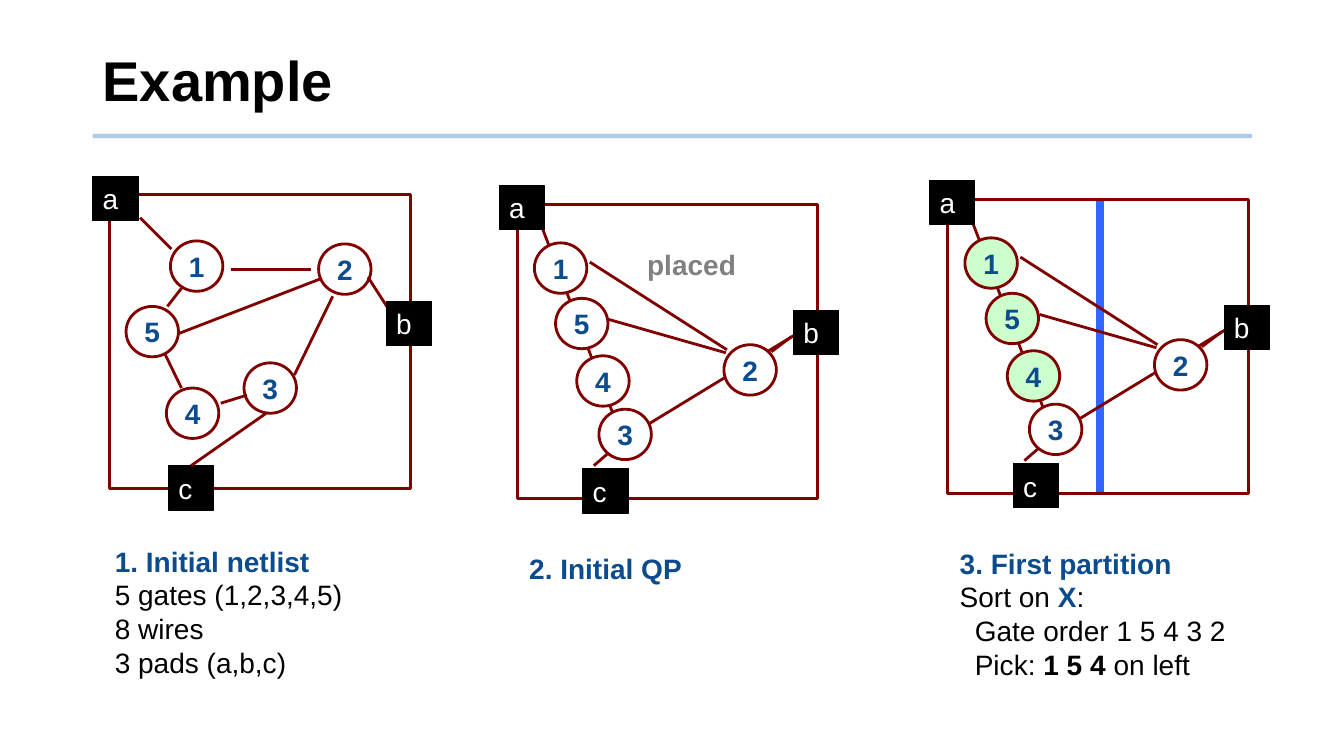
from lxml import etree
from pptx import Presentation
from pptx.dml.color import RGBColor
from pptx.enum.shapes import MSO_CONNECTOR, MSO_SHAPE
from pptx.enum.text import MSO_ANCHOR as Anchor, MSO_AUTO_SIZE as AutoSize, PP_ALIGN as Align
from pptx.oxml.ns import qn
from pptx.util import Inches, Pt

BLACK = RGBColor(0x00, 0x00, 0x00)
WHITE = RGBColor(0xFF, 0xFF, 0xFF)
MAROON = RGBColor(0x80, 0x00, 0x00)
NAVY = RGBColor(0x0B, 0x4B, 0x8E)
GRAY = RGBColor(0x80, 0x80, 0x80)
GREEN = RGBColor(0xCC, 0xFF, 0xCC)
CUT_BLUE = RGBColor(0x33, 0x66, 0xFF)
RULE_BLUE = RGBColor(0x5B, 0x9B, 0xD5)

FRAME_WIDTH, FRAME_HEIGHT = 2.98, 2.92
GATE_WIDTH, GATE_HEIGHT = 0.52, 0.5
PAD_WIDTH, PAD_HEIGHT = 0.45, 0.44
HEADING = {"color": NAVY, "bold": True}

NETLIST_GATES = {"1": (0.6, 0.46), "2": (2.07, 0.49), "3": (1.33, 1.67),
                 "4": (0.56, 1.92), "5": (0.16, 1.11)}
NETLIST_PADS = {"a": (-0.17, -0.18), "b": (2.74, 1.06), "c": (0.58, 2.69)}
NETLIST_WIRES = [
    (1.2, 0.74, 1.99, 0.74), (1.83, 1.79, 2.21, 1.01), (1.1, 2.07, 1.36, 1.99),
    (2.56, 0.82, 2.76, 1.13), (0.68, 1.38, 2.08, 0.84), (0.3, 0.23, 0.61, 0.54),
    (0.71, 0.93, 0.57, 1.11), (0.55, 1.59, 0.71, 1.92),
]
PLACED_GATES = {"2": (2.05, 1.39), "3": (0.81, 2.03), "1": (0.17, 0.38),
                "5": (0.38, 0.93), "4": (0.59, 1.5)}
PLACED_PADS = {"a": (-0.18, -0.19), "b": (2.74, 1.05), "c": (0.65, 2.62)}
PLACED_WIRES = [
    (0.91, 1.14, 2.07, 1.47), (1.15, 2.27, 2.79, 1.27), (0.91, 2.46, 0.76, 2.59),
    (2.52, 1.46, 2.72, 1.31), (0.24, 0.21, 1.02, 2.26), (0.72, 0.57, 2.08, 1.44),
]


def write(box, paragraphs, size=20, color=BLACK, bold=False, align=Align.LEFT,
          anchor=Anchor.TOP, wrap=False, spacing=None, indents=()):
    frame = box.text_frame
    frame.word_wrap = wrap
    frame.vertical_anchor = anchor
    for index, spans in enumerate(paragraphs):
        para = frame.paragraphs[0] if index == 0 else frame.add_paragraph()
        para.alignment = align
        if spacing:
            para.line_spacing = spacing
        if index in indents:
            para._p.get_or_add_pPr().set("marL", str(Inches(0.15)))
        for text, override in spans:
            look = {"color": color, "bold": bold, **override}
            span = para.add_run()
            span.text = text
            span.font.name = "Arial"
            span.font.size = Pt(size)
            span.font.bold = look["bold"]
            span.font.color.rgb = look["color"]


def add_text(page, left, top, width, height, paragraphs, **look):
    box = page.shapes.add_textbox(Inches(left), Inches(top), Inches(width), Inches(height))
    write(box, paragraphs, **look)
    return box


def add_caption(page, left, top, width, height, paragraphs, **look):
    box = add_text(page, left, top, width, height, paragraphs, spacing=Pt(24), **look)
    box.text_frame.auto_size = AutoSize.SHAPE_TO_FIT_TEXT


def add_box(page, kind, left, top, width, height, fill, color, weight):
    box = page.shapes.add_shape(kind, Inches(left), Inches(top), Inches(width), Inches(height))
    box.shadow.inherit = False
    if fill is None:
        box.fill.background()
    else:
        box.fill.solid()
        box.fill.fore_color.rgb = fill
    box.line.color.rgb = color
    box.line.width = Pt(weight)
    return box


def add_line(page, x1, y1, x2, y2, color=MAROON, weight=2):
    line = page.shapes.add_connector(MSO_CONNECTOR.STRAIGHT, Inches(x1), Inches(y1),
                                     Inches(x2), Inches(y2))
    line.line.color.rgb = color
    line.line.width = Pt(weight)
    etree.SubElement(line._element.spPr, qn("a:effectLst"))
    return line


def add_wire(page, left, top, wire):
    x1, y1, x2, y2 = wire
    return add_line(page, left + x1, top + y1, left + x2, top + y2)


def add_circuit(page, left, top, gates, pads, wires, gate_fill=None, picked=()):
    add_box(page, MSO_SHAPE.RECTANGLE, left, top, FRAME_WIDTH, FRAME_HEIGHT, None, MAROON, 2.25)
    for wire in wires:
        add_wire(page, left, top, wire)
    pad_boxes = {}
    for name, (x, y) in pads.items():
        pad = add_box(page, MSO_SHAPE.RECTANGLE, left + x, top + y, PAD_WIDTH, PAD_HEIGHT,
                      BLACK, BLACK, 0.75)
        write(pad, [[(name, {})]], color=WHITE, anchor=Anchor.MIDDLE, wrap=True)
        pad_boxes[name] = pad
    for name, (x, y) in gates.items():
        fill = GREEN if name in picked else gate_fill
        gate = add_box(page, MSO_SHAPE.OVAL, left + x, top + y, GATE_WIDTH, GATE_HEIGHT,
                       fill, MAROON, 2)
        write(gate, [[(name, HEADING)]], align=Align.CENTER, anchor=Anchor.MIDDLE)
    return pad_boxes


def add_header(page, left, top, width, height):
    rule = add_line(page, left, top + 1.07, left + width, top + 1.07, RULE_BLUE, 3)
    tint = rule._element.spPr.find(".//" + qn("a:srgbClr"))
    etree.SubElement(tint, qn("a:alpha"), val="50000")
    add_text(page, left, top, width, height, [[("Example", {})]], size=40, bold=True,
             anchor=Anchor.MIDDLE, wrap=True, spacing=0.9)


def add_netlist(page, left, top):
    pads = add_circuit(page, left, top, NETLIST_GATES, NETLIST_PADS, NETLIST_WIRES)
    add_wire(page, left, top, (1.55, 2.17, 0.82, 2.69)).end_connect(pads["c"], 0)
    add_caption(page, left - 0.05, top + 3.42, 2.47, 1.45, [
        [("1. Initial netlist", HEADING)],
        [("5 gates (1,2,3,4,5)", {})],
        [("8 wires", {})],
        [("3 pads (a,b,c)", {})],
    ])


def add_placement(page, left, top):
    add_circuit(page, left, top, PLACED_GATES, PLACED_PADS, PLACED_WIRES, WHITE)
    add_caption(page, left + 1.19, top + 0.38, 1.09, 0.44, [[("placed", {})]],
                color=GRAY, bold=True)
    add_caption(page, left + 0.02, top + 3.39, 1.72, 0.44, [[("2. Initial QP", HEADING)]])


def add_partition(page, left, top):
    add_line(page, left + 1.51, top, left + 1.51, top + FRAME_HEIGHT, CUT_BLUE, 6)
    add_circuit(page, left, top, PLACED_GATES, PLACED_PADS, PLACED_WIRES, WHITE, "154")
    add_caption(page, left + 0.02, top + 3.39, 2.86, 1.45, [
        [("3. First partition", HEADING)],
        [("Sort on ", {}), ("X", HEADING), (":", {})],
        [("Gate order 1 5 4 3 2", {})],
        [("Pick: ", {}), ("1 5 4", {"bold": True}), (" on left", {})],
    ], indents=(2, 3))


def main():
    deck = Presentation()
    deck.slide_width = Inches(13.33)
    deck.slide_height = Inches(7.5)
    page = deck.slides.add_slide(deck.slide_layouts[6])
    add_header(page, 0.92, 0.28, 11.5, 1.1)
    add_netlist(page, 1.09, 1.93)
    add_placement(page, 5.13, 2.03)
    add_partition(page, 9.4, 1.98)
    deck.save("out.pptx")


if __name__ == "__main__":
    main()
